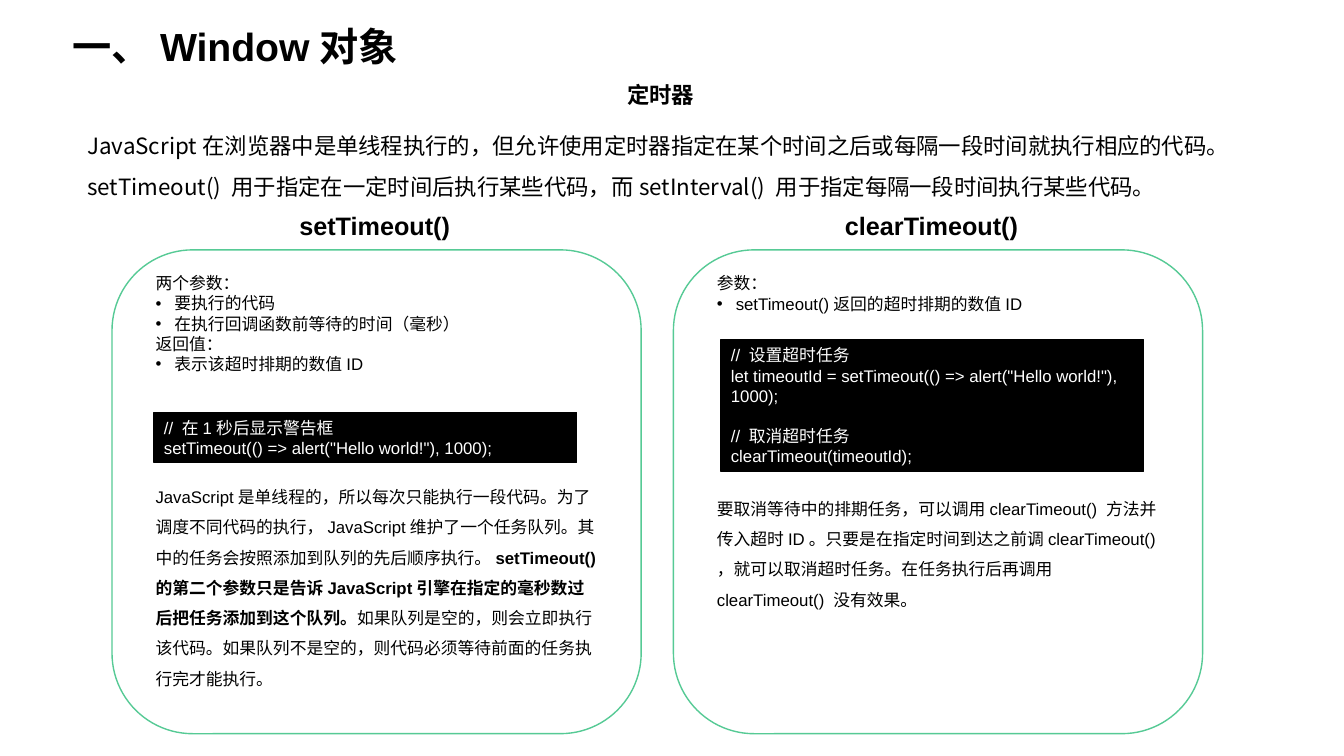
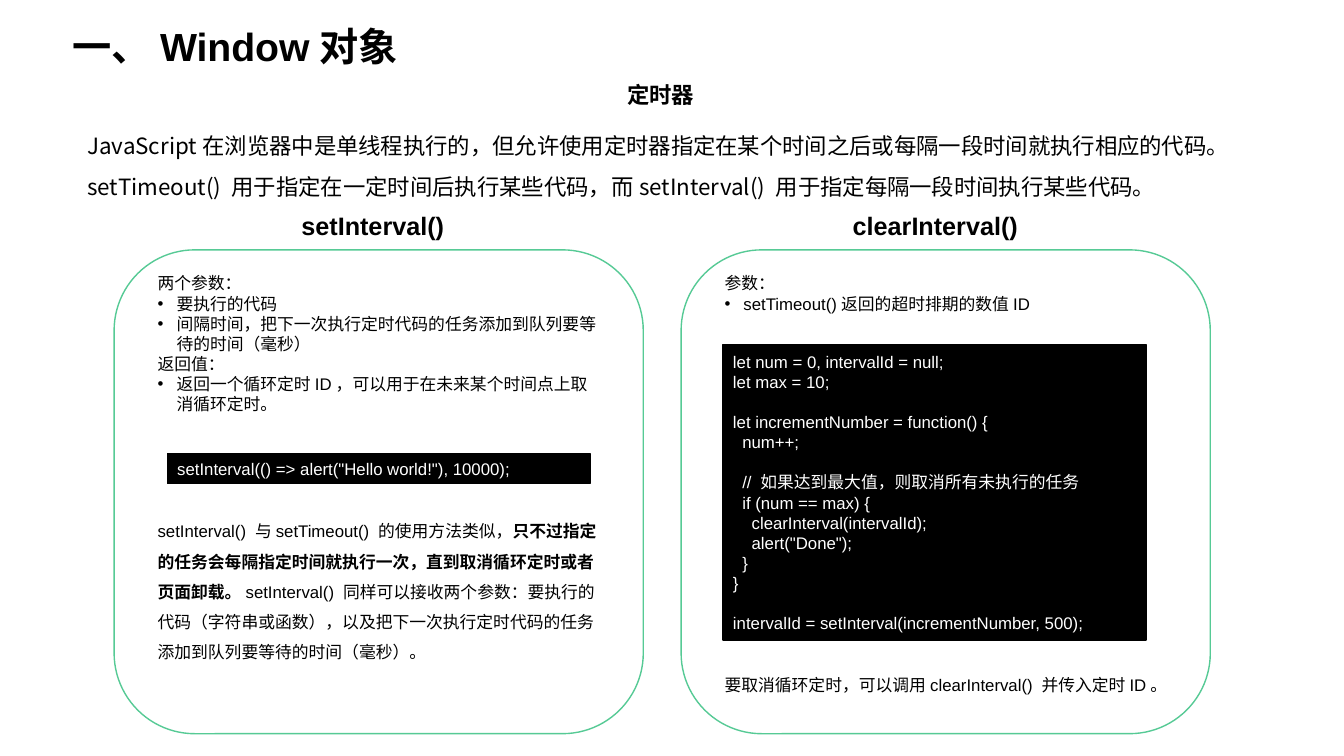
from dataclasses import dataclass

import pptx
import pptx.dml.color
import pptx.enum.shapes
import pptx.enum.text
import pptx.oxml.ns
import pptx.presentation
import pptx.shapes.autoshape
import pptx.slide
import pptx.text.text
import pptx.util
from lxml import etree

Pt = pptx.util.Pt
qn = pptx.oxml.ns.qn
Align = pptx.enum.text.PP_ALIGN
Anchor = pptx.enum.text.MSO_ANCHOR
Preset = pptx.enum.shapes.MSO_SHAPE

COLORS = {"text": "000000", "paper": "FFFFFF", "panel_line": "56CA95"}
BODY_FONT = "Arial"
INTRO_FONT = "Noto Sans CJK SC"

PANEL_TOP, PANEL_WIDTH, PANEL_HEIGHT = 178.5, 378, 345.6
HEADING_TOP, HEADING_HEIGHT = 147, 29
BODY_OFFSET, BODY_WIDTH, BODY_TOP = 24, 330.5, 191.5
CODE_WIDTH = 302
CODE_SIZE = 12
BLANK_LINE = 14.3
CODE_INDENT = 6.67
BULLET_INDENT = 13.5

TITLE = "一、Window对象"
TOPIC = "定时器"
INTRO = (
    "JavaScript在浏览器中是单线程执行的，但允许使用定时器指定在某个时间之后或每隔一段时间就执行相应的代码。"
    "setTimeout() 用于指定在一定时间后执行某些代码，而setInterval() 用于指定每隔一段时间执行某些代码。"
)


@dataclass(frozen=True)
class Frame:
    left: float
    top: float
    width: float
    height: float


@dataclass(frozen=True)
class Style:
    size: float = 12
    font: str = BODY_FONT
    color: str = "text"
    bold: bool = False
    align: Align = Align.LEFT
    spacing: float = 1.0


@dataclass(frozen=True)
class Span:
    text: str
    bold: bool = False


@dataclass(frozen=True)
class Line:
    text: str
    bullet: bool = False
    depth: int = 0
    after_blank: bool = False


@dataclass(frozen=True)
class Code:
    offset: float
    top: float
    height: float
    lines: tuple[Line, ...]


@dataclass(frozen=True)
class Panel:
    left: float
    heading: str
    heading_offset: float
    heading_width: float
    facts: tuple[Line, ...]
    facts_height: float
    code: Code
    detail: tuple[Span, ...]
    detail_top: float
    detail_height: float


TITLE_STYLE = Style(size=28, bold=True)
TOPIC_STYLE = Style(size=16, bold=True, align=Align.CENTER)
INTRO_STYLE = Style(size=16, font=INTRO_FONT, spacing=1.5)
HEADING_STYLE = Style(size=18, bold=True)
FACT_STYLE = Style()
CODE_STYLE = Style(size=CODE_SIZE, color="paper")
DETAIL_STYLE = Style(spacing=1.5)

CLEAR_FACTS = (Line("参数："), Line("setTimeout()返回的超时排期的数值ID", bullet=True))

PAGES = (
    (
        Panel(
            80, "setTimeout()", 126.7, 124,
            (
                Line("两个参数："),
                Line("要执行的代码", bullet=True),
                Line("在执行回调函数前等待的时间（毫秒）", bullet=True),
                Line("返回值："),
                Line("表示该超时排期的数值ID", bullet=True),
            ),
            80,
            Code(30, 294.5, 36, (
                Line("// 在1秒后显示警告框"),
                Line('setTimeout(() => alert("Hello world!"), 1000);'),
            )),
            (
                Span("JavaScript是单线程的，所以每次只能执行一段代码。为了调度不同代码的执行，"
                     "JavaScript维护了一个任务队列。其中的任务会按照添加到队列的先后顺序执行。"),
                Span("setTimeout() 的第二个参数只是告诉JavaScript引擎在指定的毫秒数过后把任务添加到这个队列。", True),
                Span("如果队列是空的，则会立即执行该代码。如果队列不是空的，则代码必须等待前面的任务执行完才能执行。"),
            ),
            337, 160,
        ),
        Panel(
            481, "clearTimeout()", 115.5, 160.5, CLEAR_FACTS, 51,
            Code(34, 242.5, 94.3, (
                Line("// 设置超时任务"),
                Line('let timeoutId = setTimeout(() => alert("Hello world!"), 1000);'),
                Line("// 取消超时任务", after_blank=True),
                Line("clearTimeout(timeoutId);"),
            )),
            (
                Span("要取消等待中的排期任务，可以调用clearTimeout() 方法并传入超时ID。"
                     "只要是在指定时间到达之前调clearTimeout() ，就可以取消超时任务。"
                     "在任务执行后再调用clearTimeout() 没有效果。"),
            ),
            345.5, 94.3,
        ),
    ),
    (
        Panel(
            81.5, "setInterval()", 126.7, 124,
            (
                Line("两个参数："),
                Line("要执行的代码", bullet=True),
                Line("间隔时间，把下一次执行定时代码的任务添加到队列要等待的时间（毫秒）", bullet=True),
                Line("返回值："),
                Line("返回一个循环定时ID，可以用于在未来某个时间点上取消循环定时。", bullet=True),
            ),
            108.7,
            Code(38, 324, 21.6, (Line('setInterval(() => alert("Hello world!"), 10000);'),)),
            (
                Span("setInterval() 与setTimeout() 的使用方法类似，"),
                Span("只不过指定的任务会每隔指定时间就执行一次，直到取消循环定时或者页面卸载。", True),
                Span("setInterval() 同样可以接收两个参数：要执行的代码（字符串或函数），"
                     "以及把下一次执行定时代码的任务添加到队列要等待的时间（毫秒）。"),
            ),
            361.5, 116,
        ),
        Panel(
            486.5, "clearInterval()", 115.5, 160.5, CLEAR_FACTS, 51,
            Code(30, 246.2, 211, (
                Line("let num = 0, intervalId = null;"),
                Line("let max = 10;"),
                Line("let incrementNumber = function() {", after_blank=True),
                Line("num++;", depth=1),
                Line("// 如果达到最大值，则取消所有未执行的任务", depth=1, after_blank=True),
                Line("if (num == max) {", depth=1),
                Line("clearInterval(intervalId);", depth=2),
                Line('alert("Done");', depth=2),
                Line("}", depth=1),
                Line("}"),
                Line("intervalId = setInterval(incrementNumber, 500);", after_blank=True),
            )),
            (Span("要取消循环定时，可以调用clearInterval() 并传入定时ID。"),),
            471.5, 29,
        ),
    ),
)


def rgb(name: str) -> pptx.dml.color.RGBColor:
    return pptx.dml.color.RGBColor.from_string(COLORS[name])


def place(frame: Frame) -> tuple[pptx.util.Length, ...]:
    return Pt(frame.left), Pt(frame.top), Pt(frame.width), Pt(frame.height)


def format_para(para: pptx.text.text._Paragraph, style: Style) -> None:
    para.alignment = style.align
    para.line_spacing = style.spacing
    for span in para.runs:
        span.font.size = Pt(style.size)
        span.font.name = style.font
        span.font.bold = style.bold
        span.font.color.rgb = rgb(style.color)
        east_asian = etree.SubElement(span.font._element, qn("a:ea"))
        east_asian.set("typeface", style.font)


def indent_para(para: pptx.text.text._Paragraph, line: Line) -> None:
    properties = para._p.get_or_add_pPr()
    if line.bullet:
        properties.set("marL", str(Pt(BULLET_INDENT)))
        properties.set("indent", str(-Pt(BULLET_INDENT)))
        etree.SubElement(properties, qn("a:buFont")).set("typeface", BODY_FONT)
        etree.SubElement(properties, qn("a:buChar")).set("char", "•")
    elif line.depth:
        properties.set("marL", str(Pt(CODE_INDENT * line.depth)))


def fill_lines(frame: pptx.text.text.TextFrame, lines: tuple[Line, ...], style: Style) -> None:
    frame.word_wrap = True
    frame.text = "\n".join(line.text for line in lines)
    for para, line in zip(frame.paragraphs, lines):
        format_para(para, style)
        if line.after_blank:
            para.space_before = Pt(BLANK_LINE)
        indent_para(para, line)


def add_text(page: pptx.slide.Slide, frame: Frame, lines: tuple[Line, ...], style: Style) -> None:
    box = page.shapes.add_textbox(*place(frame))
    fill_lines(box.text_frame, lines, style)


def add_detail(page: pptx.slide.Slide, frame: Frame, spans: tuple[Span, ...]) -> None:
    box = page.shapes.add_textbox(*place(frame))
    box.text_frame.word_wrap = True
    para = box.text_frame.paragraphs[0]
    for span in spans:
        para.add_run().text = span.text
    format_para(para, DETAIL_STYLE)
    for run, span in zip(para.runs, spans):
        run.font.bold = span.bold


def add_block(
    page: pptx.slide.Slide, preset: Preset, frame: Frame, fill: str, line: str
) -> pptx.shapes.autoshape.Shape:
    block = page.shapes.add_shape(preset, *place(frame))
    block.shadow.inherit = False
    block.fill.solid()
    block.fill.fore_color.rgb = rgb(fill)
    block.line.color.rgb = rgb(line)
    block.line.width = Pt(1)
    return block


def add_panel(page: pptx.slide.Slide, panel: Panel) -> None:
    outline = Frame(panel.left, PANEL_TOP, PANEL_WIDTH, PANEL_HEIGHT)
    add_block(page, Preset.ROUNDED_RECTANGLE, outline, "paper", "panel_line")
    heading = Frame(panel.left + panel.heading_offset, HEADING_TOP, panel.heading_width, HEADING_HEIGHT)
    add_text(page, heading, (Line(panel.heading),), HEADING_STYLE)
    body_left = panel.left + BODY_OFFSET
    add_text(page, Frame(body_left, BODY_TOP, BODY_WIDTH, panel.facts_height), panel.facts, FACT_STYLE)
    code = panel.code
    code_frame = Frame(panel.left + code.offset, code.top, CODE_WIDTH, code.height)
    code_box = add_block(page, Preset.RECTANGLE, code_frame, "text", "text")
    code_box.text_frame.vertical_anchor = Anchor.MIDDLE
    fill_lines(code_box.text_frame, code.lines, CODE_STYLE)
    add_detail(page, Frame(body_left, panel.detail_top, BODY_WIDTH, panel.detail_height), panel.detail)


def add_page(deck: pptx.presentation.Presentation, panels: tuple[Panel, ...]) -> None:
    page = deck.slides.add_slide(deck.slide_layouts[6])
    add_text(page, Frame(44.6, 12.2, 487, 41), (Line(TITLE),), TITLE_STYLE)
    add_text(page, Frame(68.4, 54.7, 807, 26.6), (Line(TOPIC),), TOPIC_STYLE)
    add_text(page, Frame(55.4, 81.4, 837.4, 65.5), (Line(INTRO),), INTRO_STYLE)
    for panel in panels:
        add_panel(page, panel)


def main() -> None:
    deck = pptx.Presentation()
    deck.slide_width, deck.slide_height = Pt(960), Pt(540)
    for panels in PAGES:
        add_page(deck, panels)
    deck.save("out.pptx")


if __name__ == "__main__":
    main()
